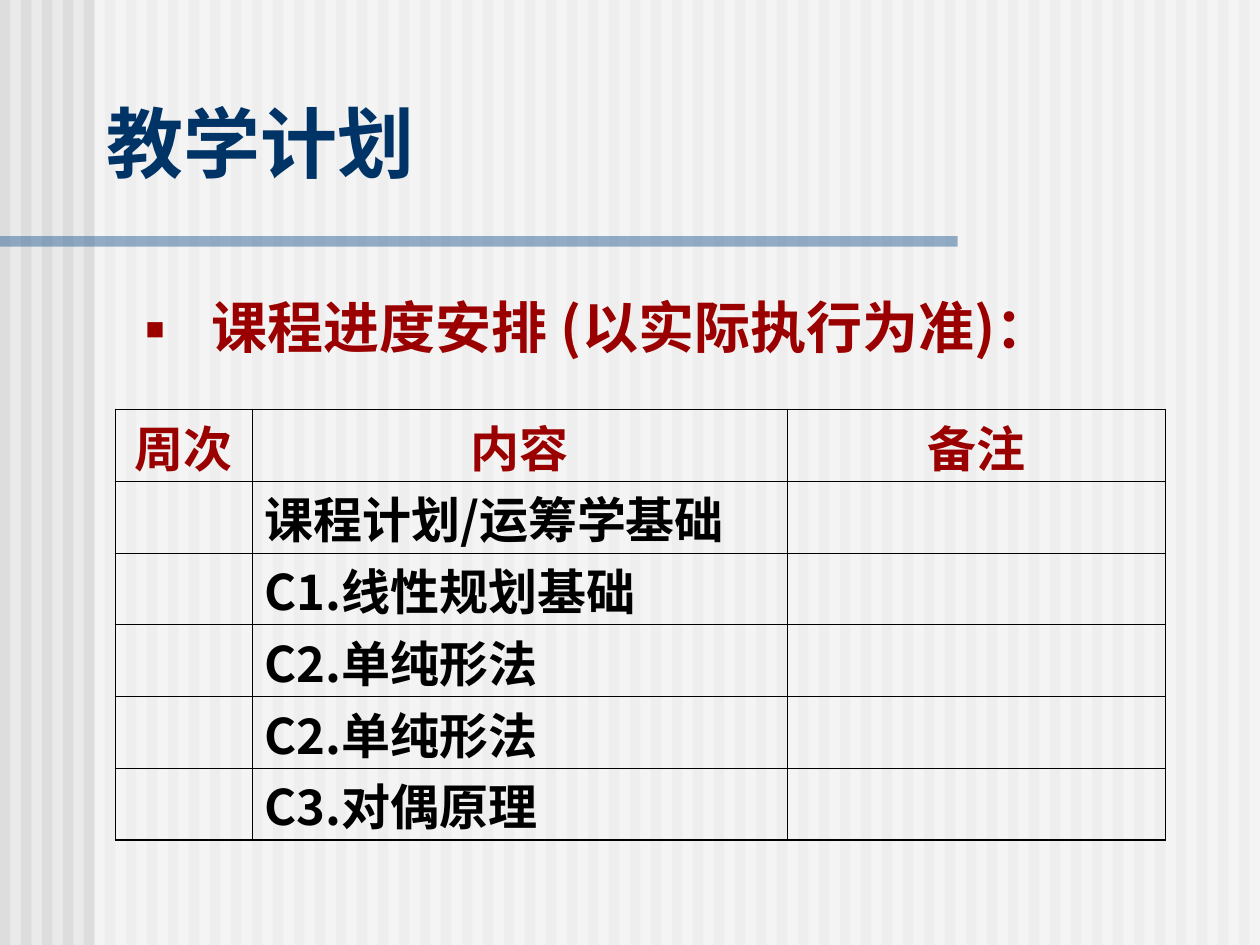
import pptx
import pptx.util
import pptx.dml.color
import pptx.enum.shapes
import pptx.enum.text
import pptx.oxml.ns
import lxml.etree

RGB = pptx.dml.color.RGBColor
GREY = RGB(0xEA, 0xEA, 0xEA)
STRIPE = RGB(0xDD, 0xDD, 0xDD)
WHITE = RGB(0xFF, 0xFF, 0xFF)
BLUE = RGB(0x33, 0x66, 0x99)
NAVY = RGB(0x00, 0x33, 0x66)
RED = RGB(0x9A, 0x00, 0x00)
BLACK = RGB(0, 0, 0)

FACE = "Noto Sans CJK SC"
COLS, ROWS = 120, 90  # grid of the slide, one unit is 1/12 inch
UNIT = pptx.util.Inches(10) // COLS
THIN, THICK = 0.45, 1.08

ALIGN = pptx.enum.text.PP_ALIGN
ANCHOR = pptx.enum.text.MSO_ANCHOR
HEAD = ["周次", "内容", "备注"]
TOPICS = ["课程计划/运筹学基础", "C1.线性规划基础", "C2.单纯形法",
          "C2.单纯形法", "C3.对偶原理"]


def grid(*nums):
    """Turn grid units into lengths."""
    return [round(num * UNIT) for num in nums]


def put(obj, vals):
    for key, val in vals.items():
        setattr(obj, key, val)


def add(node, tag, **attrs):
    return lxml.etree.SubElement(node, pptx.oxml.ns.qn(tag), attrs)


def bar(slide, place, color, alpha=None):
    kind = pptx.enum.shapes.MSO_SHAPE.RECTANGLE
    shape = slide.shapes.add_shape(kind, *grid(*place))
    shape.shadow.inherit = False
    shape.line.fill.background()
    shape.fill.solid()
    shape.fill.fore_color.rgb = color
    if alpha:
        tone = shape.fill._xPr.find(".//" + pptx.oxml.ns.qn("a:srgbClr"))
        add(tone, "a:alpha", val=str(alpha * 1000))


def write(frame, text, size, color, form):
    """Fill the first paragraph of a frame and return it."""
    para = frame.paragraphs[0]
    put(para, form)
    run = para.add_run()
    run.text = text
    put(run.font, {"name": FACE, "size": pptx.util.Pt(size), "bold": True})
    run.font.color.rgb = color
    add(run.font._element, "a:ea", typeface=FACE)
    return para


def box(slide, place, anchor, *text):
    frame = slide.shapes.add_textbox(*grid(*place)).text_frame
    put(frame, {"word_wrap": True, "vertical_anchor": anchor})
    return write(frame, *text)


def bullet(para, mark, color, indent):
    props = para._p.get_or_add_pPr()
    props.set("marL", str(indent))
    props.set("indent", str(-indent))
    tone = add(props, "a:buClr")
    add(tone, "a:srgbClr", val=str(color))
    add(props, "a:buFont", typeface=FACE)
    add(props, "a:buChar", char=mark)


def edge(cell, widths):
    """Draw the four borders of a cell, then leave it unfilled."""
    props = cell._tc.get_or_add_tcPr()
    for side, width in widths.items():
        line = add(props, "a:ln" + side, w=str(pptx.util.Pt(width)))
        fill = add(line, "a:solidFill")
        add(fill, "a:srgbClr", val=str(BLACK))
    cell.fill.background()


def table(slide, place, cols):
    data = [HEAD] + [["", topic, ""] for topic in TOPICS]
    tab = slide.shapes.add_table(len(data), len(cols), *grid(*place)).table
    put(tab, {"first_row": False, "horz_banding": False})
    for col, width in zip(tab.columns, grid(*cols)):
        col.width = width
    last, end = len(data) - 1, len(cols) - 1
    for i, row in enumerate(data):
        for j, text in enumerate(row):
            cell = tab.cell(i, j)
            put(cell, {"margin_top": 0, "margin_bottom": 0,
                       "vertical_anchor": ANCHOR.BOTTOM})
            outer = {"L": j == 0, "R": j == end, "T": i == 0, "B": i == last}
            edge(cell, {side: THICK if out else THIN
                        for side, out in outer.items()})
            if text:
                color, align = (BLACK, ALIGN.LEFT) if i else (RED, ALIGN.CENTER)
                write(cell.text_frame, text, 28, color, {"alignment": align})


def back(slide):
    slide.background.fill.solid()
    slide.background.fill.fore_color.rgb = GREY
    for col in range(0, COLS, 2):
        bar(slide, (col, 0, 1, ROWS), STRIPE)
    bar(slide, (9, 0, COLS - 9, ROWS), WHITE, 50)
    bar(slide, (0, 22.5, 91.2, 1), BLUE, 50)


def main():
    deck = pptx.Presentation()
    put(deck, {"slide_width": COLS * UNIT, "slide_height": ROWS * UNIT})
    slide = deck.slides.add_slide(deck.slide_layouts[6])
    back(slide)
    box(slide, (9, 6, 102, 15), ANCHOR.MIDDLE, "教学计划", 44, NAVY, {})
    para = box(slide, (11, 28, 102, 54), ANCHOR.TOP,
               "课程进度安排 (以实际执行为准)：", 32, RED,
               {"alignment": ALIGN.JUSTIFY, "line_spacing": 0.9,
                "space_before": pptx.util.Pt(7)})
    bullet(para, "▪", RED, 8 * UNIT)
    table(slide, (11, 39, 100, 41), (13, 51, 36))
    deck.save("out.pptx")


if __name__ == "__main__":
    main()
